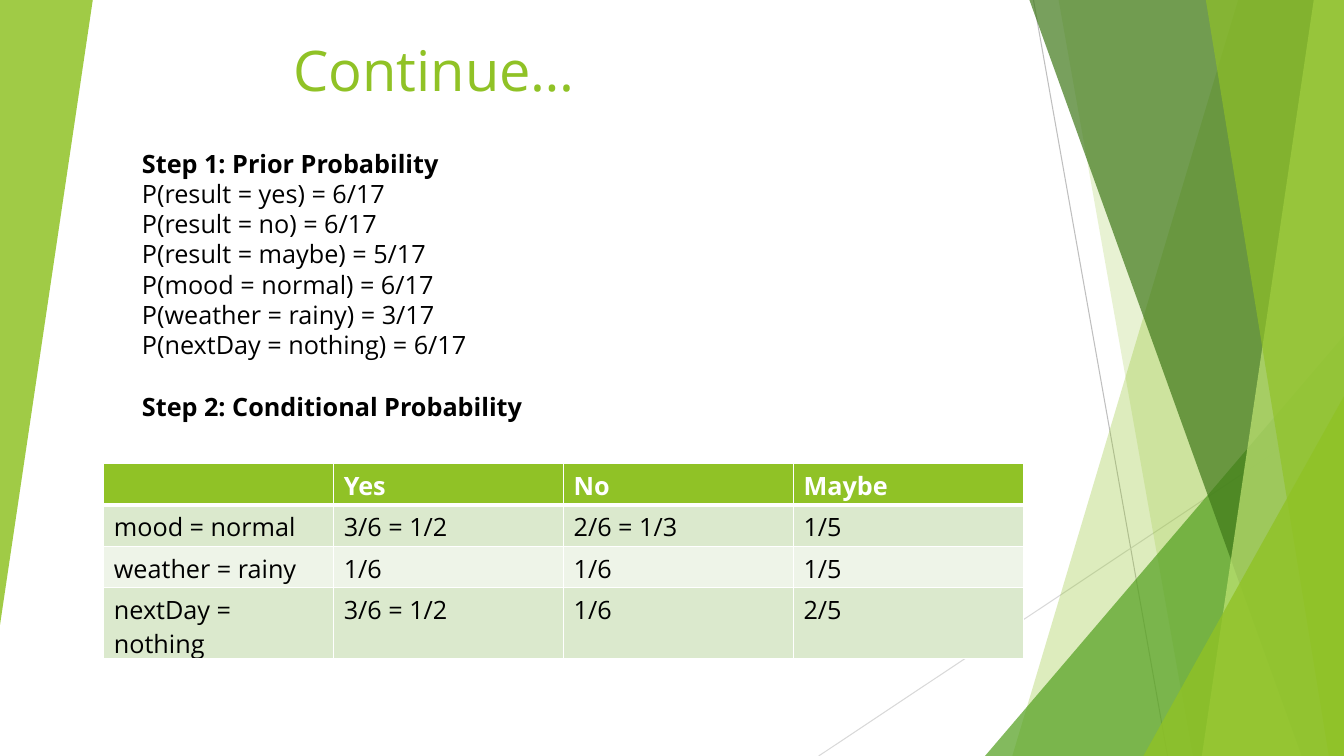
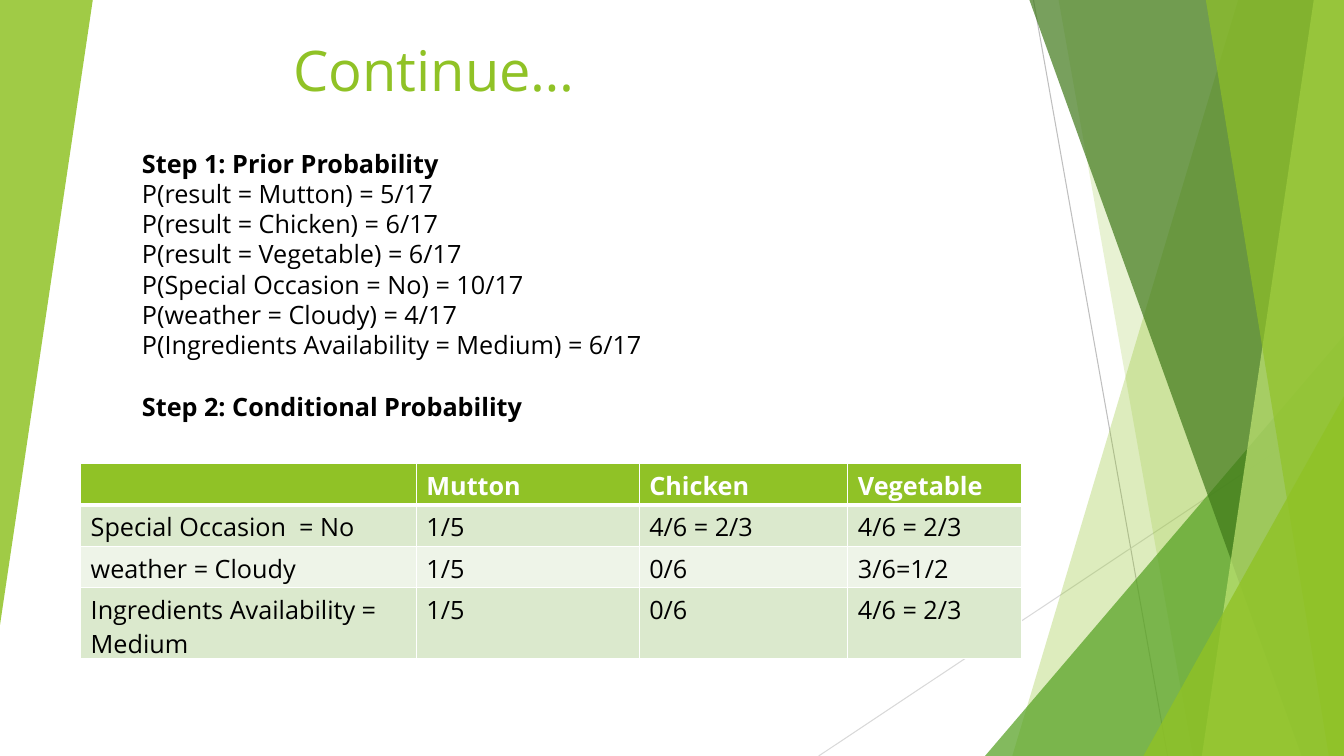
from dataclasses import dataclass

from pptx import Presentation
from pptx.dml.color import RGBColor
from pptx.enum.shapes import MSO_CONNECTOR, MSO_SHAPE
from pptx.enum.text import MSO_ANCHOR, PP_ALIGN
from pptx.oxml.ns import qn
from pptx.util import Inches, Pt
from lxml.etree import SubElement


@dataclass(frozen=True)
class Theme:
    font: str = "Open Sans"
    title_size: float = 40
    body_size: float = 18
    line_pitch: float = 21.6
    lime: str = "90C226"
    green: str = "54A021"
    forest: str = "3F7819"
    pale_lime: str = "C0E474"
    band_dark: str = "DBE9CD"
    band_light: str = "EEF4E8"
    white: str = "FFFFFF"
    black: str = "000000"
    line_dark: str = "BFBFBF"
    line_light: str = "D9D9D9"


T = Theme()
WIDTH, HEIGHT = 13.33, 7.5


def write(p, text, size=T.body_size, color=T.black, bold=False, align=None, pitch=None):
    """Put formatted text into a paragraph; pitch is a fixed line height in points."""
    r = p.add_run()
    r.text = text
    r.font.name = T.font
    r.font.size = Pt(size)
    r.font.bold = bold
    r.font.color.rgb = RGBColor.from_string(color)
    p.alignment = align
    if pitch:
        p.line_spacing = Pt(pitch)


def add_text(s, box, lines, anchor=MSO_ANCHOR.TOP, **fmt):
    """Add a text box; each line is (text, bold)."""
    tf = s.shapes.add_textbox(*map(Inches, box)).text_frame
    tf.word_wrap = True
    tf.vertical_anchor = anchor
    for i, (text, bold) in enumerate(lines):
        p = tf.add_paragraph() if i else tf.paragraphs[0]
        write(p, text, bold=bold, **fmt)


def paint(sp, color, opacity):
    """Fill a shape with a colour at an opacity in percent, without line or shadow."""
    sp.shadow.inherit = False
    sp.line.fill.background()
    sp.fill.solid()
    sp.fill.fore_color.rgb = RGBColor.from_string(color)
    rgb = sp._element.spPr.find(qn("a:solidFill")).find(qn("a:srgbClr"))
    SubElement(rgb, qn("a:alpha")).set("val", str(opacity * 1000))


def add_hairline(s, start, end, color):
    line = s.shapes.add_connector(MSO_CONNECTOR.STRAIGHT, *map(Inches, start + end))
    line.line.color.rgb = RGBColor.from_string(color)
    line.line.width = Pt(0.75)
    SubElement(line._element.spPr, qn("a:effectLst"))


def add_edge_band(s, top_x, bottom_x, color, opacity):
    """Add a band from a slanted left side to the right edge of the slide."""
    corners = [(top_x, 0), (WIDTH, 0), (WIDTH, HEIGHT), (bottom_x, HEIGHT)]
    points = [(Inches(x), Inches(y)) for x, y in corners]
    builder = s.shapes.build_freeform(*points[0], scale=1.0)
    builder.add_line_segments(points[1:], close=True)
    paint(builder.convert_to_shape(), color, opacity)


def add_corner(s, box, color, opacity, rotation=0):
    """Add a triangle with its tip above its right corner."""
    sp = s.shapes.add_shape(MSO_SHAPE.ISOSCELES_TRIANGLE, *map(Inches, box))
    sp.adjustments[0] = 1
    sp.rotation = rotation
    paint(sp, color, opacity)


def add_facets(s):
    add_hairline(s, (10.25, 0), (11.58, HEIGHT), T.line_dark)
    add_hairline(s, (WIDTH, 4.03), (8.12, HEIGHT), T.line_light)
    add_edge_band(s, 12.28, 10.04, T.lime, 30)
    add_edge_band(s, 10.5, 11.83, T.lime, 20)
    add_corner(s, (9.77, 3.33, 3.56, 4.17), T.green, 72)
    add_edge_band(s, 10.21, 12.91, T.forest, 70)
    add_edge_band(s, 13.03, 11.92, T.pale_lime, 70)
    add_edge_band(s, 11.96, 13.18, T.lime, 65)
    add_corner(s, (11.34, 3.93, 1.99, 3.57), T.lime, 80)
    add_corner(s, (0, 0, 0.92, 6.2), T.lime, 85, rotation=180)


def set_borders(cell, bottom):
    """Draw white cell borders; bottom is the width of the lower one in points."""
    tcPr = cell._tc.get_or_add_tcPr()
    widths = {"a:lnL": 1, "a:lnR": 1, "a:lnT": 1, "a:lnB": bottom}
    for i, (tag, width) in enumerate(widths.items()):
        ln = SubElement(tcPr, qn(tag))
        ln.set("w", str(Pt(width)))
        SubElement(SubElement(ln, qn("a:solidFill")), qn("a:srgbClr")).set("val", T.white)
        tcPr.insert(i, ln)


def add_probability_table(s, left, top, widths, rows, row_height=0.41):
    box = (left, top, sum(widths), row_height * len(rows))
    table = s.shapes.add_table(len(rows), len(widths), *map(Inches, box)).table
    for column, width in zip(table.columns, widths):
        column.width = Inches(width)
    for i, row in enumerate(rows):
        header = i == 0
        fill = T.lime if header else (T.band_dark if i % 2 else T.band_light)
        for j, text in enumerate(row):
            cell = table.cell(i, j)
            cell.fill.solid()
            cell.fill.fore_color.rgb = RGBColor.from_string(fill)
            set_borders(cell, 3 if header or i == 0 else 1)
            if text:
                write(cell.text_frame.paragraphs[0], text, bold=header,
                      color=T.white if header else T.black)


def add_probability_slide(prs, priors, priors_width, table_left, widths, rows):
    s = prs.slides.add_slide(prs.slide_layouts[6])
    add_facets(s)
    add_text(s, (2.71, 0.19, 3.09, 0.88), [("Continue…", False)], MSO_ANCHOR.BOTTOM,
             size=T.title_size, color=T.lime, align=PP_ALIGN.RIGHT)
    prior_lines = [("Step 1: Prior Probability", True)]
    prior_lines += [(f"P({event}) = {value}", False) for event, value in priors]
    add_text(s, (1.31, 1.42, priors_width, 2.83), prior_lines, pitch=T.line_pitch)
    add_text(s, (1.31, 3.83, 4.49, 0.71), [("Step 2: Conditional Probability", True)],
             pitch=T.line_pitch)
    add_probability_table(s, table_left, 4.6, widths, rows)


def main():
    prs = Presentation()
    prs.slide_width, prs.slide_height = Inches(WIDTH), Inches(HEIGHT)
    add_probability_slide(
        prs,
        priors=[("result = yes", "6/17"), ("result = no", "6/17"),
                ("result = maybe", "5/17"), ("mood = normal", "6/17"),
                ("weather = rainy", "3/17"), ("nextDay = nothing", "6/17")],
        priors_width=4.49, table_left=1.03, widths=[2.28] * 4,
        rows=[("", "Yes", "No", "Maybe"),
              ("mood = normal", "3/6 = 1/2", "2/6 = 1/3", "1/5"),
              ("weather = rainy", "1/6", "1/6", "1/5"),
              ("nextDay = nothing", "3/6 = 1/2", "1/6", "2/5")])
    add_probability_slide(
        prs,
        priors=[("result = Mutton", "5/17"), ("result = Chicken", "6/17"),
                ("result = Vegetable", "6/17"), ("Special Occasion = No", "10/17"),
                ("weather = Cloudy", "4/17"),
                ("Ingredients Availability = Medium", "6/17")],
        priors_width=5.62, table_left=0.8, widths=[3.33, 2.21, 2.07, 1.72],
        rows=[("", "Mutton", "Chicken", "Vegetable"),
              ("Special Occasion  = No", "1/5", "4/6 = 2/3", "4/6 = 2/3"),
              ("weather = Cloudy", "1/5", "0/6", "3/6=1/2"),
              ("Ingredients Availability = Medium", "1/5", "0/6", "4/6 = 2/3")])
    prs.save("out.pptx")


if __name__ == "__main__":
    main()
